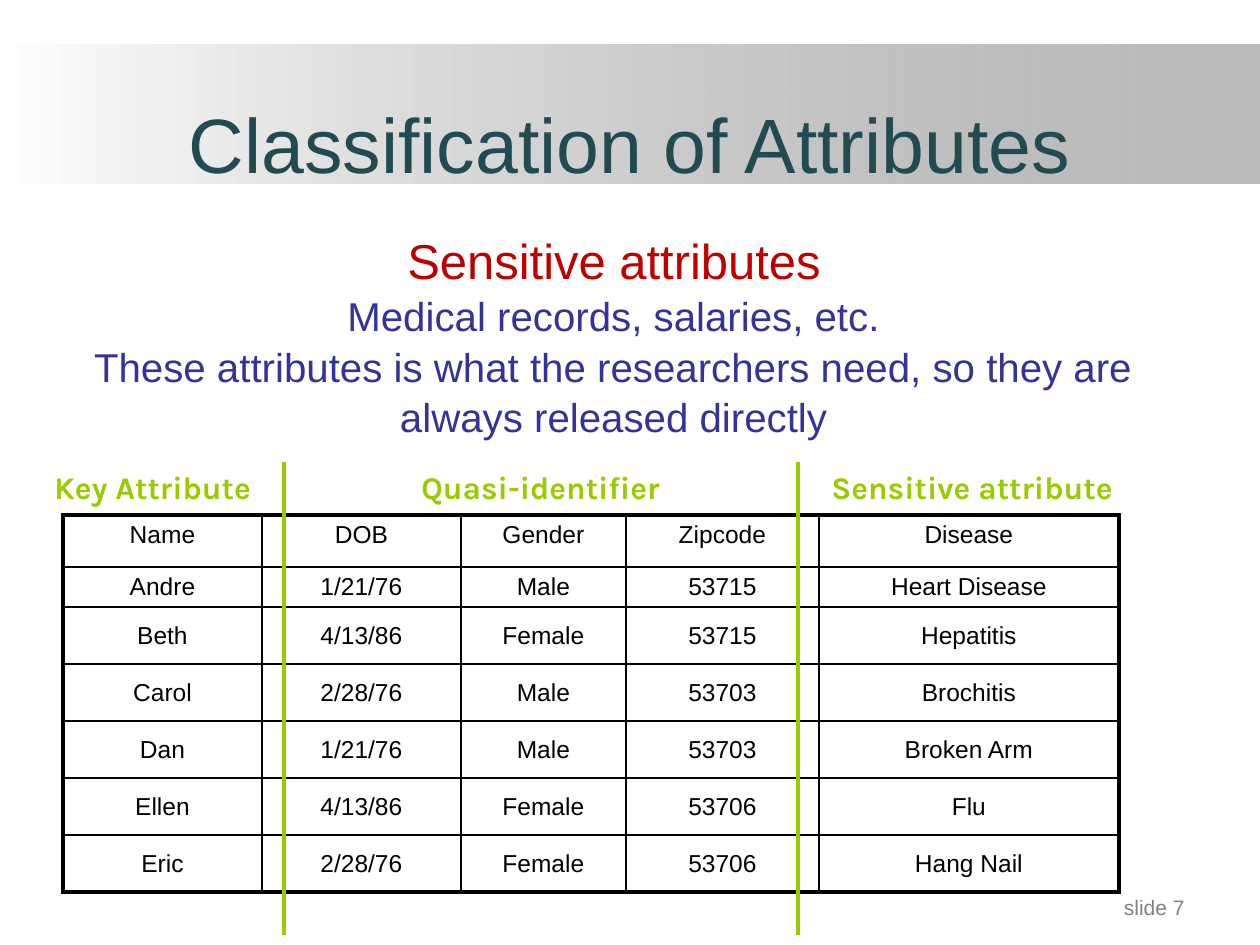
from dataclasses import dataclass

from lxml.etree import SubElement
from pptx import Presentation
from pptx.dml.color import RGBColor
from pptx.enum.shapes import MSO_CONNECTOR, MSO_SHAPE
from pptx.enum.text import MSO_ANCHOR, MSO_AUTO_SIZE, PP_ALIGN
from pptx.oxml.ns import qn
from pptx.util import Emu, Pt

WHITE = RGBColor(0xFF, 0xFF, 0xFF)
BLACK = RGBColor(0x00, 0x00, 0x00)
GRAY = RGBColor(0x80, 0x80, 0x80)
TEAL = RGBColor(0x22, 0x4B, 0x4F)
RED = RGBColor(0xC0, 0x00, 0x00)
NAVY = RGBColor(0x33, 0x33, 0x99)
LIME = RGBColor(0x99, 0xCC, 0x00)

PX_PER_INCH = 126
THIN, THICK = 1, 2.25
COLUMN_WIDTHS = [199, 199, 165, 193, 300]
ROW_HEIGHTS = [52, 40] + [57] * 5
PATIENTS = [
    ["Name", "DOB", "Gender", "Zipcode", "Disease"],
    ["Andre", "1/21/76", "Male", "53715", "Heart Disease"],
    ["Beth", "4/13/86", "Female", "53715", "Hepatitis"],
    ["Carol", "2/28/76", "Male", "53703", "Brochitis"],
    ["Dan", "1/21/76", "Male", "53703", "Broken Arm"],
    ["Ellen", "4/13/86", "Female", "53706", "Flu"],
    ["Eric", "2/28/76", "Female", "53706", "Hang Nail"],
]


@dataclass(frozen=True)
class Style:
    """Font and alignment of a paragraph."""
    size: float
    color: RGBColor
    font: str = "Arial"
    bold: bool = False
    align: PP_ALIGN = PP_ALIGN.CENTER


@dataclass(frozen=True)
class Label:
    """A free text box and its place."""
    text: str
    left: int
    top: int
    width: int
    height: int
    style: Style
    anchor: MSO_ANCHOR = MSO_ANCHOR.TOP


@dataclass(frozen=True)
class BodyLine:
    """A paragraph of the body placeholder."""
    text: str
    level: int
    style: Style


GROUP = Style(18, LIME, "Karla", True, PP_ALIGN.LEFT)
DETAIL = Style(23, NAVY)
LABELS = [
    Label("Key Attribute", 42, 462, 238, 50, GROUP),
    Label("Quasi-identifier", 409, 462, 325, 50, GROUP),
    Label("Sensitive attribute", 819, 462, 325, 50, GROUP),
    Label("slide 7", 903, 861, 294, 65, Style(12, GRAY, align=PP_ALIGN.RIGHT),
          MSO_ANCHOR.BOTTOM),
]
BODY_LINES = [
    BodyLine("Sensitive attributes", 0, Style(28, RED)),
    BodyLine("Medical records, salaries, etc.", 1, DETAIL),
    BodyLine("These attributes is what the researchers need, so they are "
             "always released directly", 1, DETAIL),
]
DIVIDERS = [284, 798]


def px(length: int) -> Emu:
    """Turn px into EMU."""
    return Emu(round(length * 914400 / PX_PER_INCH))


def place(shape, left: int, top: int, width: int, height: int) -> None:
    """Move and size a shape."""
    shape.left, shape.top = px(left), px(top)
    shape.width, shape.height = px(width), px(height)


def format_paragraph(para, style: Style) -> None:
    """Apply a style to a paragraph and its runs."""
    para.alignment = style.align
    for span in para.runs:
        span.font.name = style.font
        span.font.size = Pt(style.size)
        span.font.bold = style.bold
        span.font.color.rgb = style.color


def draw_band(page) -> None:
    """Draw the fading band behind the title."""
    band = page.shapes.add_shape(MSO_SHAPE.RECTANGLE, 0, px(45), px(1260), px(139))
    band.shadow.inherit = False
    band.line.fill.background()
    band.fill.gradient()
    band.fill.gradient_angle = 0
    for stop, color, position in zip(band.fill.gradient_stops, (WHITE, GRAY), (0, 1)):
        stop.color.rgb = color
        stop.position = position
    end_color = list(band._element.iter(qn("a:srgbClr")))[-1]
    SubElement(end_color, qn("a:alpha"), val="54000")
    page.shapes._spTree.insert(2, band._element)


def fill_title(title) -> None:
    """Write the slide title."""
    place(title, 63, 38, 1134, 157)
    frame = title.text_frame
    frame.text = "Classification of Attributes"
    frame.auto_size = MSO_AUTO_SIZE.NONE
    frame.vertical_anchor = MSO_ANCHOR.BOTTOM
    format_paragraph(frame.paragraphs[0], Style(44, TEAL))


def fill_body(body, lines: list[BodyLine]) -> None:
    """Write the centred body text without bullets."""
    place(body, 63, 221, 1102, 252)
    frame = body.text_frame
    frame.text = "\n".join(line.text for line in lines)
    frame.auto_size = MSO_AUTO_SIZE.NONE
    for para, line in zip(frame.paragraphs, lines):
        para.level = line.level
        para.line_spacing = 1.05
        para.space_before = Pt(0)
        format_paragraph(para, line.style)
        properties = para._p.get_or_add_pPr()
        properties.set("marL", "0")
        properties.set("indent", "0")
        SubElement(properties, qn("a:buNone"))
    frame.paragraphs[0].space_before = Pt(2)


def add_border(cell, side: str, width: float) -> None:
    """Add one black border to a table cell."""
    border = SubElement(cell._tc.get_or_add_tcPr(), qn(f"a:ln{side}"), w=str(Pt(width)))
    fill = SubElement(border, qn("a:solidFill"))
    SubElement(fill, qn("a:srgbClr"), val=str(BLACK))


def draw_table(page, rows: list[list[str]]) -> None:
    """Draw the patient table with a thick outer border."""
    table = page.shapes.add_table(
        len(rows), len(COLUMN_WIDTHS), px(63), px(515),
        px(sum(COLUMN_WIDTHS)), px(sum(ROW_HEIGHTS))).table
    table.first_row = table.horz_banding = False
    for column, width in zip(table.columns, COLUMN_WIDTHS):
        column.width = px(width)
    last_row, last_column = len(rows) - 1, len(COLUMN_WIDTHS) - 1
    for r, values in enumerate(rows):
        table.rows[r].height = px(ROW_HEIGHTS[r])
        for c, value in enumerate(values):
            cell = table.cell(r, c)
            cell.text = value
            cell.vertical_anchor = MSO_ANCHOR.MIDDLE if r else MSO_ANCHOR.TOP
            format_paragraph(cell.text_frame.paragraphs[0], Style(14, BLACK))
            outer = {"L": c == 0, "R": c == last_column, "T": r == 0, "B": r == last_row}
            for side, is_outer in outer.items():
                add_border(cell, side, THICK if is_outer else THIN)
            cell.fill.background()


def draw_label(page, label: Label) -> None:
    """Draw a text box."""
    box = page.shapes.add_textbox(
        px(label.left), px(label.top), px(label.width), px(label.height))
    frame = box.text_frame
    frame.word_wrap = True
    frame.vertical_anchor = label.anchor
    frame.text = label.text
    format_paragraph(frame.paragraphs[0], label.style)


def draw_divider(page, x: int) -> None:
    """Draw a vertical line between attribute groups."""
    divider = page.shapes.add_connector(
        MSO_CONNECTOR.STRAIGHT, px(x), px(462), px(x), px(935))
    divider.line.color.rgb = LIME
    divider.line.width = Pt(THICK)
    SubElement(divider._element.spPr, qn("a:effectLst"))


def main() -> None:
    """Build the slide and save the deck."""
    deck = Presentation()
    deck.slide_width, deck.slide_height = px(1260), px(945)
    page = deck.slides.add_slide(deck.slide_layouts[1])
    draw_band(page)
    fill_title(page.shapes.title)
    fill_body(page.placeholders[1], BODY_LINES)
    draw_table(page, PATIENTS)
    for label in LABELS:
        draw_label(page, label)
    for x in DIVIDERS:
        draw_divider(page, x)
    deck.save("out.pptx")


if __name__ == "__main__":
    main()
